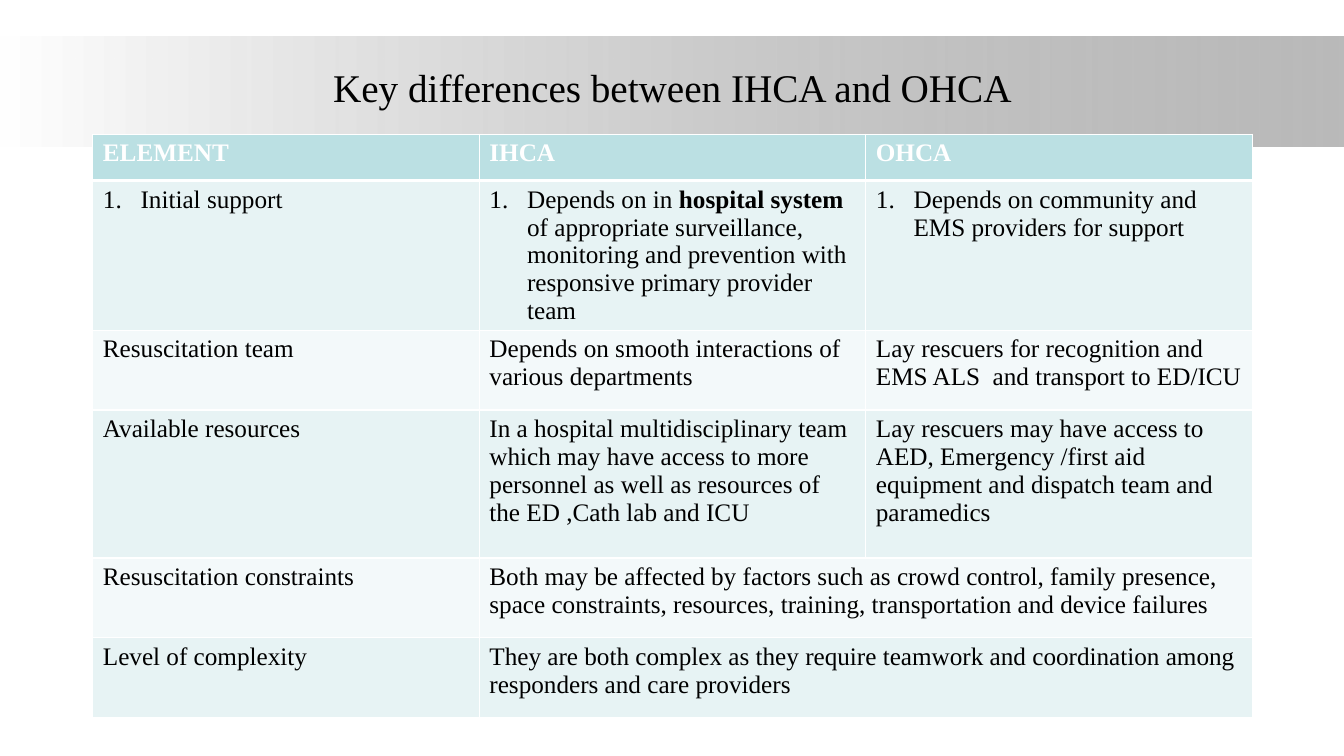
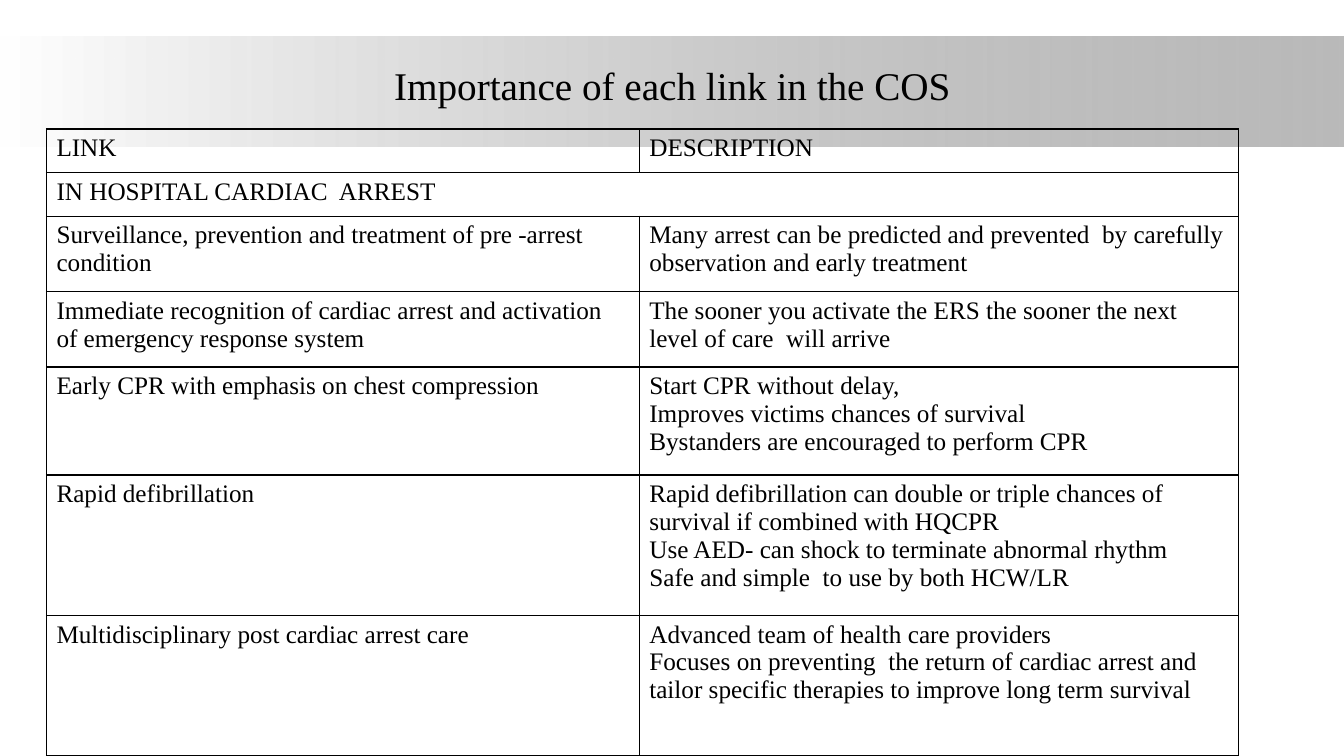
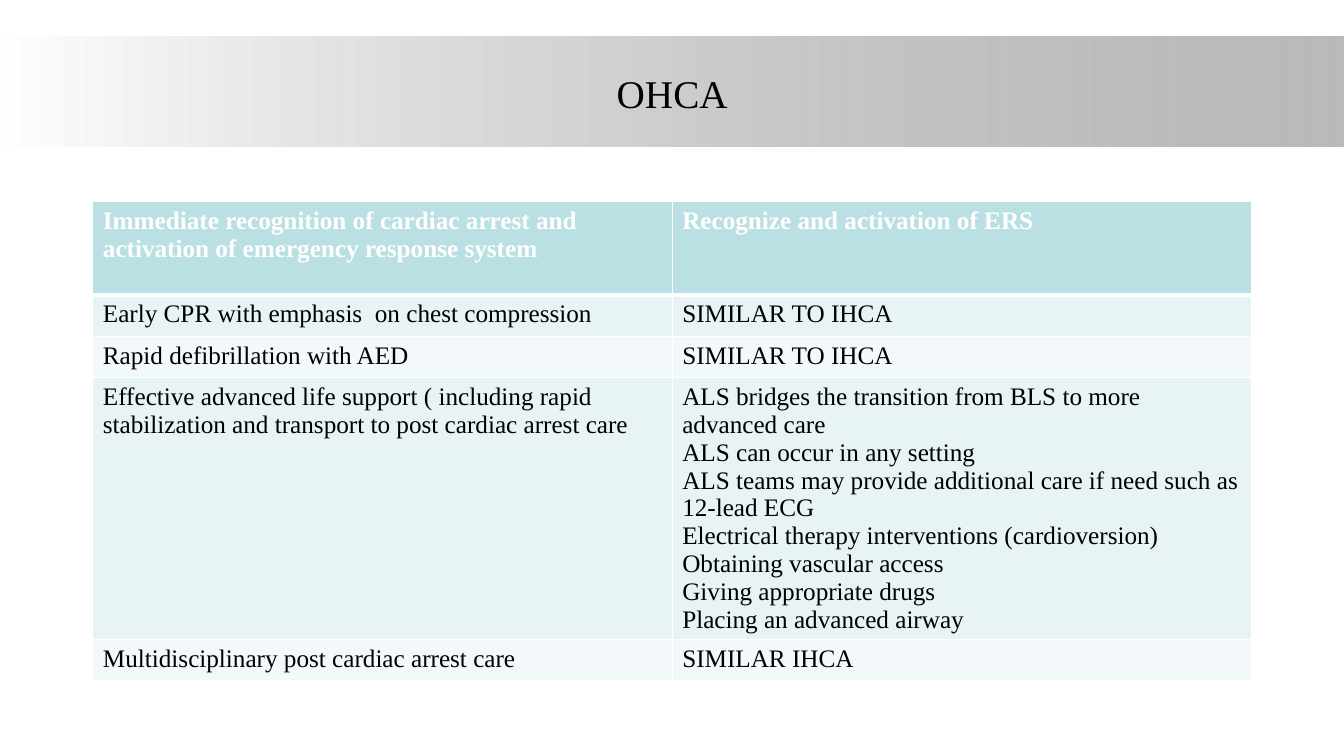
from dataclasses import dataclass
from typing import Optional

from lxml.etree import SubElement
from pptx import Presentation
from pptx.dml.color import RGBColor
from pptx.enum.shapes import MSO_SHAPE
from pptx.enum.text import MSO_ANCHOR, MSO_AUTO_SIZE, PP_ALIGN
from pptx.oxml import parse_xml
from pptx.oxml.ns import nsdecls, qn
from pptx.util import Cm, Pt

FONT = "Times New Roman"
BLACK, WHITE, GREY = "000000", "FFFFFF", "808080"
HEADER, ODD_ROW, EVEN_ROW = "BBE0E3", "E7F3F4", "F3F9FA"
SLIDE_WIDTH, SLIDE_HEIGHT = 33.87, 19.05
TITLE_ONLY = 5


@dataclass
class Box:
    """A rectangle in centimetres."""
    left: float
    top: float
    width: float
    height: float


@dataclass
class Grid:
    """A table: ** toggles bold, a line break starts a paragraph, None joins the cell to its left."""
    left: float
    top: float
    columns: list[float]
    row_heights: list[float]
    rows: list[list[Optional[str]]]
    filled: bool = True
    numbered_row: Optional[int] = None


@dataclass
class Page:
    title: str
    title_box: Box
    grid: Grid


PAGES = [
    Page("Key differences between IHCA and OHCA", Box(2.34, 1.02, 29.21, 2.36), Grid(
        2.34, 3.38, [9.74] * 3, [1.17, 3.75, 2.01, 3.73, 2.01, 2.01],
        [
            ["ELEMENT", "IHCA", "OHCA"],
            ["Initial support",
             "Depends on in **hospital system **of appropriate surveillance, monitoring "
             "and prevention with responsive primary provider team",
             "Depends on community and EMS providers for support"],
            ["Resuscitation team",
             "Depends on smooth interactions of various departments",
             "Lay rescuers for recognition and EMS ALS  and transport to ED/ICU"],
            ["Available resources",
             "In a hospital multidisciplinary team which may have access to more personnel "
             "as well as resources of the ED ,Cath lab and ICU",
             "Lay rescuers may have access to AED, Emergency /first aid equipment and "
             "dispatch team and paramedics"],
            ["Resuscitation constraints",
             "Both may be affected by factors such as crowd control, family presence, space "
             "constraints, resources, training, transportation and device failures", None],
            ["Level of complexity",
             "They are both complex as they require teamwork and coordination among "
             "responders and care providers", None],
        ], numbered_row=1)),
    Page("Importance of each link in the COS", Box(2.34, 1.02, 29.21, 2.24), Grid(
        1.17, 3.25, [14.94, 15.11], [1.1, 1.1, 1.9, 1.9, 2.72, 3.54, 3.54],
        [
            ["LINK", "DESCRIPTION"],
            ["IN HOSPITAL CARDIAC  ARREST", None],
            ["Surveillance, prevention and treatment of pre -arrest condition",
             "Many arrest can be predicted and prevented  by carefully observation and "
             "early treatment"],
            ["Immediate recognition of cardiac arrest and activation of emergency response system",
             "The sooner you activate the ERS the sooner the next level of care  will arrive"],
            ["Early CPR with emphasis on chest compression",
             "Start CPR without delay,\nImproves victims chances of survival\n"
             "Bystanders are encouraged to perform CPR"],
            ["Rapid defibrillation",
             "Rapid defibrillation can double or triple chances of survival if combined with HQCPR\n"
             "Use AED- can shock to terminate abnormal rhythm\n"
             "Safe and simple  to use by both HCW/LR"],
            ["Multidisciplinary post cardiac arrest care",
             "Advanced team of health care providers\n"
             "Focuses on preventing  the return of cardiac arrest and tailor specific "
             "therapies to improve long term survival"],
        ], filled=False)),
    Page("OHCA", Box(1.7, 0.76, 30.48, 3.18), Grid(
        2.34, 5.08, [14.6] * 2, [2.36, 1.04, 1.04, 6.6, 1.04],
        [
            ["Immediate recognition of cardiac arrest and activation of emergency response system",
             "Recognize and activation of ERS"],
            ["Early CPR with emphasis  on chest compression", "SIMILAR TO IHCA"],
            ["Rapid defibrillation with AED", "SIMILAR TO IHCA"],
            ["Effective advanced life support ( including rapid stabilization and transport to "
             "post cardiac arrest care",
             "ALS bridges the transition from BLS to more advanced care\n"
             "ALS can occur in any setting\n"
             "ALS teams may provide additional care if need such as\n"
             "12-lead ECG\n"
             "Electrical therapy interventions (cardioversion)\n"
             "Obtaining vascular access\n"
             "Giving appropriate drugs\n"
             "Placing an advanced airway"],
            ["Multidisciplinary post cardiac arrest care", "SIMILAR IHCA"],
        ])),
]


def rgb(color: str) -> RGBColor:
    return RGBColor.from_string(color)


def write_text(frame, text: str, *, size: float = 18, color: str = BLACK, bold: bool = False,
               align: PP_ALIGN = PP_ALIGN.LEFT, numbered: bool = False) -> None:
    """Fill a text frame, one paragraph a line."""
    for index, line in enumerate(text.split("\n")):
        paragraph = frame.add_paragraph() if index else frame.paragraphs[0]
        if numbered:
            properties = paragraph._p.get_or_add_pPr()
            properties.set("marL", str(Cm(0.95)))
            properties.set("indent", str(-Cm(0.95)))
            SubElement(properties, qn("a:buAutoNum"), type="arabicPeriod")
        paragraph.alignment = align
        for part, words in enumerate(line.split("**")):
            run = paragraph.add_run()
            run.text = words
            run.font.name, run.font.size = FONT, Pt(size)
            run.font.bold = bold or part % 2 == 1
            run.font.color.rgb = rgb(color)


def set_borders(cell, color: str, top: float, bottom: float) -> None:
    """Draw the four edges of a cell; the side edges are 1 pt wide."""
    properties = cell._tc.get_or_add_tcPr()
    for index, (edge, width) in enumerate(dict(L=1, R=1, T=top, B=bottom).items()):
        properties.insert(index, parse_xml(
            f'<a:ln{edge} {nsdecls("a")} w="{Pt(width)}"><a:solidFill>'
            f'<a:srgbClr val="{color}"/></a:solidFill></a:ln{edge}>'))


def add_band(slide, layout) -> None:
    """Put the gradient band behind everything on the shared layout."""
    band = slide.shapes.add_shape(MSO_SHAPE.RECTANGLE, 0, Cm(0.91), Cm(SLIDE_WIDTH), Cm(2.79))
    band.shadow.inherit = False
    band.line.fill.background()
    band.fill.gradient()
    band.fill.gradient_angle = 0
    for stop, color in zip(band.fill.gradient_stops, (WHITE, GREY)):
        stop.color.rgb = rgb(color)
    grey = band.element.spPr.findall(f".//{qn('a:srgbClr')}")[-1]
    SubElement(grey, qn("a:alpha"), val="54000")
    band.element.nvSpPr.cNvPr.set("id", "90")
    layout.shapes.element.insert(2, band.element)


def add_title(slide, text: str, box: Box) -> None:
    title = slide.shapes.title
    title.left, title.top = Cm(box.left), Cm(box.top)
    title.width, title.height = Cm(box.width), Cm(box.height)
    frame = title.text_frame
    frame.auto_size = MSO_AUTO_SIZE.NONE
    frame.vertical_anchor = MSO_ANCHOR.MIDDLE
    write_text(frame, text, size=28, align=PP_ALIGN.CENTER)


def add_grid(slide, grid: Grid) -> None:
    table = slide.shapes.add_table(
        len(grid.rows), len(grid.columns), Cm(grid.left), Cm(grid.top),
        Cm(sum(grid.columns)), Cm(sum(grid.row_heights))).table
    table.first_row = table.horz_banding = False
    for column, width in zip(table.columns, grid.columns):
        column.width = Cm(width)
    for row, height in zip(table.rows, grid.row_heights):
        row.height = Cm(height)

    for r, texts in enumerate(grid.rows):
        header = grid.filled and r == 0
        for c, text in enumerate(texts):
            cell = table.cell(r, c)
            if grid.filled:
                cell.fill.solid()
                row_color = ODD_ROW if r % 2 else EVEN_ROW
                cell.fill.fore_color.rgb = rgb(HEADER if header else row_color)
            else:
                cell.fill.background()
            # The filled tables have a thick rule under the header
            set_borders(cell, WHITE if grid.filled else BLACK,
                        top=3 if grid.filled and r == 1 else 1, bottom=3 if header else 1)
            if text is None:
                table.cell(r, c - 1).merge(cell)
            else:
                write_text(cell.text_frame, text, color=WHITE if header else BLACK,
                           bold=header, numbered=r == grid.numbered_row)


def main() -> None:
    deck = Presentation()
    deck.slide_width, deck.slide_height = Cm(SLIDE_WIDTH), Cm(SLIDE_HEIGHT)
    layout = deck.slide_layouts[TITLE_ONLY]
    for index, page in enumerate(PAGES):
        slide = deck.slides.add_slide(layout)
        if index == 0:
            add_band(slide, layout)
        add_title(slide, page.title, page.title_box)
        add_grid(slide, page.grid)
    deck.save("out.pptx")


if __name__ == "__main__":
    main()
